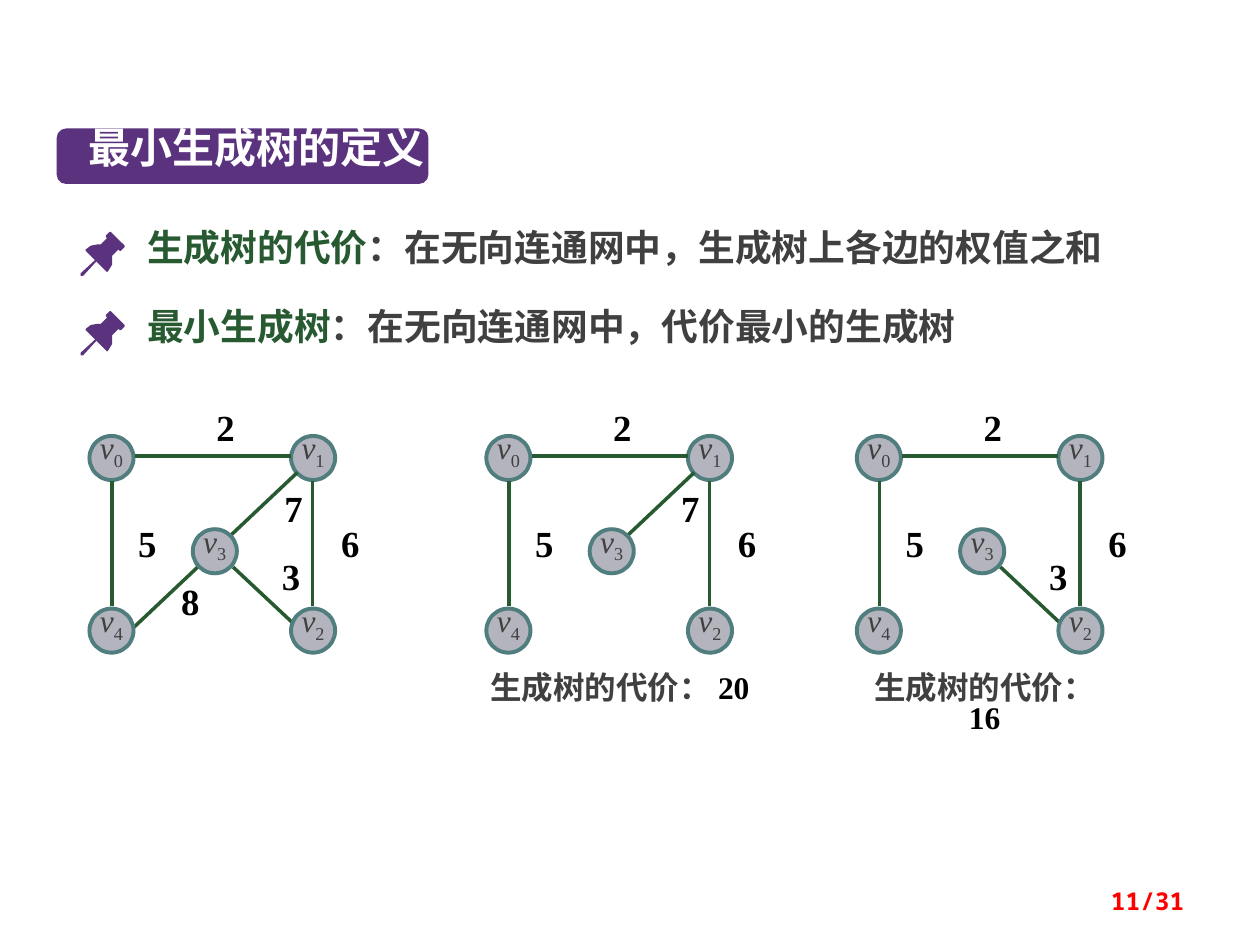
from lxml.etree import SubElement
from pptx import Presentation
from pptx.dml.color import RGBColor
from pptx.enum.shapes import MSO_CONNECTOR, MSO_SHAPE
from pptx.enum.text import MSO_ANCHOR, MSO_AUTO_SIZE, PP_ALIGN
from pptx.oxml.ns import qn
from pptx.util import Inches, Pt

# Content
TITLE = "最小生成树的定义"
POINTS = [
    ("生成树的代价", "：在无向连通网中，生成树上各边的权值之和"),
    ("最小生成树", "：在无向连通网中，代价最小的生成树"),
]
# Each graph: left edge, weights of the edges kept, cost, cost box (offset, width, height)
GRAPHS = [
    (0.71, (2, 5, 6, 3, 8, 7), None, None),
    (3.86, (2, 5, 6, 7), "20", (-0.1, 2.32, 0.34)),
    (6.8, (2, 5, 6, 3), "16", (-0.1, 2.23, 0.59)),
]
PAGE = "11/31"

# Format
HUES = {"plum": "5A327D", "green": "285A32", "gray": "404040", "black": "000000",
        "white": "FFFFFF", "red": "FF0000", "node": "B4B4BE", "ring": "507D7D"}
SERIF, SANS, MONO = "Times New Roman", "Noto Sans CJK SC", "Noto Sans Mono"
HEAD = {"name": SANS, "size": Pt(24), "bold": True}
BODY = {"name": SERIF, "size": Pt(21), "bold": True}
COST = {"name": SERIF, "size": Pt(18), "bold": True}
VERT = {"name": SERIF, "size": Pt(18), "italic": True}
SUB = {"name": SERIF, "size": Pt(18), "italic": False}
FOOT = {"name": MONO, "size": Pt(14), "bold": True}

# Graph plan, measured from the left edge and top of a graph
TOP, SIZE = 3.46, 0.35
NODES = [(0, 0), (1.6, 0), (1.6, 1.37), (0.82, 0.74), (0, 1.37)]
# Weight: line start, line end, label corner
EDGES = {
    2: ((0.36, 0.16), (1.6, 0.16), (0.83, -0.23)),
    5: ((0.18, 0.36), (0.18, 1.35), (0.21, 0.69)),
    6: ((1.77, 0.36), (1.77, 1.35), (1.82, 0.69)),
    3: ((1.14, 1.04), (1.62, 1.49), (1.35, 0.95)),
    8: ((0.86, 1.04), (0.33, 1.54), (0.55, 1.15)),
    7: ((1.65, 0.29), (1.12, 0.79), (1.37, 0.41)),
}
# Pin outlines, measured from the pin's corner
PIN = [
    [(0.35, 0.11), (0.24, 0), (0.23, 0), (0.2, 0.03), (0.2, 0.04), (0.21, 0.05),
     (0.16, 0.1), (0.13, 0.1), (0.08, 0.11), (0.04, 0.14), (0.04, 0.15),
     (0.2, 0.31), (0.21, 0.32), (0.22, 0.31), (0.25, 0.26), (0.25, 0.19),
     (0.3, 0.14), (0.31, 0.15), (0.32, 0.15), (0.35, 0.12)],
    [(0.01, 0.35), (0, 0.35), (0, 0.33), (0.12, 0.22), (0.13, 0.22),
     (0.13, 0.23), (0.02, 0.35)],
]


def hue(key):
    return RGBColor.from_string(HUES[key])


def paint(shape, fill, line=None):
    shape.shadow.inherit = False
    shape.fill.solid()
    shape.fill.fore_color.rgb = hue(fill)
    if line:
        shape.line.color.rgb = hue(line)
        shape.line.width = Pt(2.25)
    else:
        shape.line.fill.background()


def write(frame, runs, align, space=0.8):
    para = frame.paragraphs[0]
    para.alignment, para.line_spacing = align, space
    for text, form, key in runs:
        run = para.add_run()
        run.text = text
        for name, value in form.items():
            setattr(run.font, name, value)
        run.font.color.rgb = hue(key)
        props = run.font._element
        SubElement(props, qn("a:ea")).set("typeface", SANS)
        if form is SUB:
            props.set("baseline", "-25000")


def label(shapes, box, runs, align=PP_ALIGN.CENTER, grow=True, space=0.8):
    frame = shapes.add_textbox(*map(Inches, box)).text_frame
    frame.word_wrap = True
    if grow:
        frame.auto_size = MSO_AUTO_SIZE.SHAPE_TO_FIT_TEXT
    else:
        frame.vertical_anchor = MSO_ANCHOR.MIDDLE
    write(frame, runs, align, space)


def pin(shapes, left, top):
    for part in PIN:
        dots = [(Inches(left + x), Inches(top + y)) for x, y in part]
        build = shapes.build_freeform(*dots[0])
        build.add_line_segments(dots[1:], close=True)
        paint(build.convert_to_shape(), "plum")


def node(shapes, left, num):
    x, y = NODES[num]
    disc = shapes.add_shape(MSO_SHAPE.OVAL, Inches(left + x), Inches(TOP + y),
                            Inches(SIZE), Inches(SIZE))
    paint(disc, "node", "ring")
    frame = disc.text_frame
    for side in ("left", "top", "right", "bottom"):
        setattr(frame, "margin_" + side, 0)
    frame.vertical_anchor = MSO_ANCHOR.TOP
    write(frame, [("v", VERT, "gray"), (str(num), SUB, "gray")],
          PP_ALIGN.CENTER, Pt(16.5))


def edge(shapes, left, start, end):
    ends = [Inches(v) for x, y in (start, end) for v in (left + x, TOP + y)]
    line = shapes.add_connector(MSO_CONNECTOR.STRAIGHT, *ends)
    line.line.color.rgb = hue("green")
    line.line.width = Pt(2)
    SubElement(line._element.spPr, qn("a:effectLst"))


def graph(shapes, left, weights, cost, box):
    for num in (0, 1):
        node(shapes, left, num)
    for key in weights:
        edge(shapes, left, *EDGES[key][:2])
    for num in (2, 3, 4):
        node(shapes, left, num)
    for key in weights:
        x, y = EDGES[key][2]
        label(shapes, (left + x, TOP + y, 0.5, 0.38), [(str(key), BODY, "black")])
    if cost:
        shift, width, height = box
        label(shapes, (left + shift, 5.31, width, height),
              [("生成树的代价： ", COST, "gray"), (cost, COST, "black")])


def main():
    deck = Presentation()
    deck.slide_width, deck.slide_height = Inches(10), Inches(7.5)
    shapes = deck.slides.add_slide(deck.slide_layouts[6]).shapes

    # Title bar
    bar = shapes.add_shape(MSO_SHAPE.ROUNDED_RECTANGLE,
                           *map(Inches, (0.45, 1.02, 2.95, 0.44)))
    paint(bar, "plum")
    label(shapes, (0.52, 0.99, 3.03, 0.42), [(TITLE, HEAD, "white")])

    # Pinned definitions
    for row, (term, rest) in enumerate(POINTS):
        part = shapes.add_group_shape().shapes
        top = 1.8 + 0.63 * row
        label(part, (1.07, top, 7.84, 0.38),
              [(term, BODY, "green"), (rest, BODY, "gray")], PP_ALIGN.JUSTIFY)
        pin(part, 0.64, top + 0.04)

    # Network and its spanning trees
    for data in GRAPHS:
        graph(shapes.add_group_shape().shapes, *data)

    # Page number
    label(shapes, (7.17, 6.95, 2.33, 0.4), [(PAGE, FOOT, "red")],
          PP_ALIGN.RIGHT, grow=False, space=1.0)
    deck.save("out.pptx")


if __name__ == "__main__":
    main()
